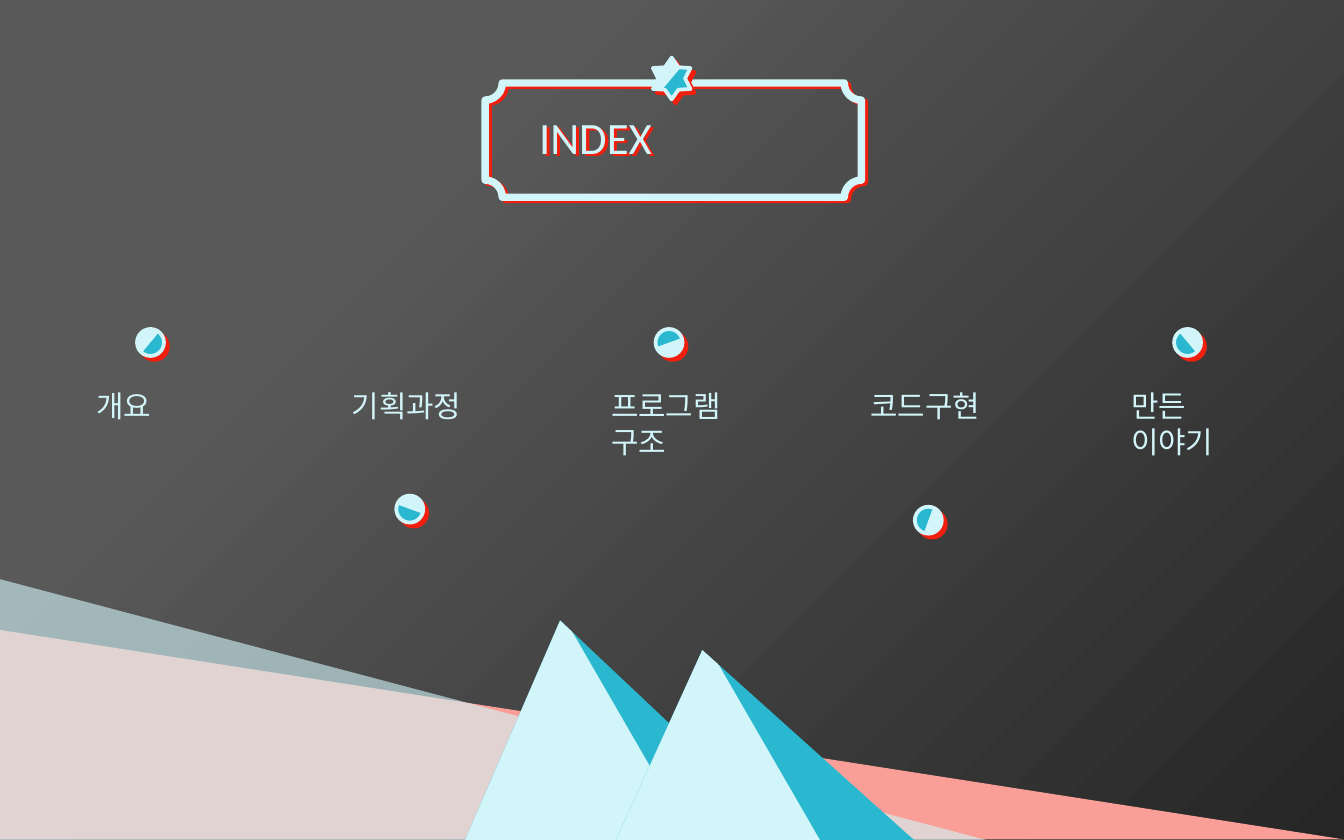
from dataclasses import dataclass

from lxml import etree
from pptx import Presentation
from pptx.dml.color import RGBColor
from pptx.enum import shapes, text
from pptx.oxml import ns
from pptx.util import Cm, Pt


@dataclass(frozen=True)
class Theme:
    ice: str = "D2F5F9"
    teal: str = "2AB8D0"
    coral: str = "FA9F97"
    red: str = "F31F0E"
    night: str = "262626"
    grey: str = "595959"
    latin: str = "Calibri"
    korean: str = "Noto Sans CJK KR"
    title_size: int = 24
    label_size: int = 16


def rgb(colour):
    return RGBColor.from_string(colour)


def sub(parent, tag, **attributes):
    return etree.SubElement(parent, ns.qn(tag), attributes)


class Deck:
    def __init__(self, theme, width, height):
        self.theme = theme
        self.presentation = Presentation()
        self.presentation.slide_width = Cm(width)
        self.presentation.slide_height = Cm(height)
        self.slide = self.presentation.slides.add_slide(self.presentation.slide_layouts[6])

    def gradient(self, fill, stops, angle=0):
        """Two-colour gradient; the angle runs clockwise."""
        fill.gradient()
        for stop, (position, colour) in zip(fill.gradient_stops, stops):
            stop.position = position
            stop.color.rgb = rgb(colour)
        fill.gradient_angle = (360 - angle) % 360

    def backdrop(self):
        fill = self.slide.background.fill
        self.gradient(fill, [(0, self.theme.night), (0.73, self.theme.grey)])
        # Radial gradient from the bottom right corner
        linear = next(self.slide.element.iter(ns.qn("a:lin")))
        radial = etree.Element(ns.qn("a:path"), {"path": "circle"})
        sub(radial, "a:fillToRect", l="100000", t="100000")
        linear.getparent().replace(linear, radial)

    def shape(self, kind, box, adjust=None):
        shape = self.slide.shapes.add_shape(kind, *map(Cm, box))
        shape.shadow.inherit = False
        shape.line.fill.background()
        if adjust is not None:
            shape.adjustments[0] = adjust
        return shape

    def outline(self, shape, width, shadow_distance, shadow_angle):
        """Pale outline with a hard red shadow."""
        shape.line.color.rgb = rgb(self.theme.ice)
        shape.line.width = Pt(width)
        effects = shape.element.spPr.find(ns.qn("a:effectLst"))
        shadow = sub(effects, "a:outerShdw", blurRad="0", dist=str(Pt(shadow_distance)),
                     dir=str(shadow_angle * 60000), algn="tl", rotWithShape="0")
        sub(shadow, "a:srgbClr", val=self.theme.red)

    def slope(self, box, colour, opacity=None):
        slope = self.shape(shapes.MSO_SHAPE.RIGHT_TRIANGLE, box)
        slope.fill.solid()
        slope.fill.fore_color.rgb = rgb(colour)
        if opacity is not None:
            tint = next(slope.element.spPr.iter(ns.qn("a:srgbClr")))
            sub(tint, "a:alpha", val=str(opacity * 1000))

    def mountain(self, box):
        mountain = self.shape(shapes.MSO_SHAPE.ISOSCELES_TRIANGLE, box, 0.29)
        self.gradient(mountain.fill, [(0.5, self.theme.teal), (0.5, self.theme.ice)], 150)

    def gem(self, kind, box, angle, adjust=None):
        gem = self.shape(kind, box, adjust)
        self.gradient(gem.fill, [(0.5, self.theme.ice), (0.5, self.theme.teal)], angle)
        self.outline(gem, 2, 3, 45)

    def set_words(self, frame, words, font_name, size):
        frame.word_wrap = True
        frame.text = words
        for paragraph in frame.paragraphs:
            paragraph.alignment = text.PP_ALIGN.JUSTIFY
            for run in paragraph.runs:
                run.font.size = Pt(size)
                run.font.color.rgb = rgb(self.theme.ice)
                run.font.name = font_name
                sub(run._r.get_or_add_rPr(), "a:ea", typeface=font_name)

    def title(self, box, words):
        title = self.shape(shapes.MSO_SHAPE.PLAQUE, box, 0.15)
        title.fill.background()
        self.outline(title, 4, 2, 35)
        frame = title.text_frame
        frame.vertical_anchor = text.MSO_ANCHOR.MIDDLE
        frame.margin_left = frame.margin_right = Cm(0.79)
        self.set_words(frame, words, self.theme.latin, self.theme.title_size)
        heading = frame.paragraphs[0]
        heading.line_spacing = 0.9
        # Teal outline round the letters
        properties = heading.runs[0]._r.get_or_add_rPr()
        edge = etree.Element(ns.qn("a:ln"), {"w": str(Pt(1.5))})
        sub(sub(edge, "a:solidFill"), "a:srgbClr", val=self.theme.teal)
        properties.insert(0, edge)

    def label(self, box, words):
        label = self.slide.shapes.add_textbox(*map(Cm, box))
        self.set_words(label.text_frame, words, self.theme.korean, self.theme.label_size)
        label.text_frame.auto_size = text.MSO_AUTO_SIZE.SHAPE_TO_FIT_TEXT


def main():
    theme = Theme()
    deck = Deck(theme, 25.4, 15.88)

    # Landscape
    deck.backdrop()
    deck.slope((0, 11.91, 25.4, 3.96), theme.coral)
    deck.slope((0, 10.95, 18.9, 5), theme.ice, 61)
    deck.mountain((8.76, 11.73, 6.3, 4.22))
    deck.mountain((11.61, 12.29, 5.74, 3.66))

    # Title with its star
    deck.title((9.17, 1.57, 7.11, 2.16), "INDEX")
    deck.gem(shapes.MSO_SHAPE.STAR_6_POINT, (12.34, 1.09, 0.71, 0.79), 40, 0.31)

    # Chapters: label left, words, dot top, dot gradient angle
    chapters = [
        (1.57, "개요", 6.22, 40),
        (6.4, "기획과정", 9.37, 110),
        (11.3, "프로그램\n구조", 6.22, 250),
        (16.2, "코드구현", 9.58, 200),
        (21.13, "만든\n이야기", 6.22, 140),
    ]
    first_dot, dot_step, dot_size = 2.59, 4.9, 0.51
    for column, (left, words, dot_top, angle) in enumerate(chapters):
        dot_left = first_dot + column * dot_step
        deck.gem(shapes.MSO_SHAPE.OVAL, (dot_left, dot_top, dot_size, dot_size), angle)
        height = 0.94 + 0.66 * words.count("\n")
        deck.label((left, 7.21, 2.82, height), words)

    deck.presentation.save("out.pptx")


if __name__ == "__main__":
    main()
